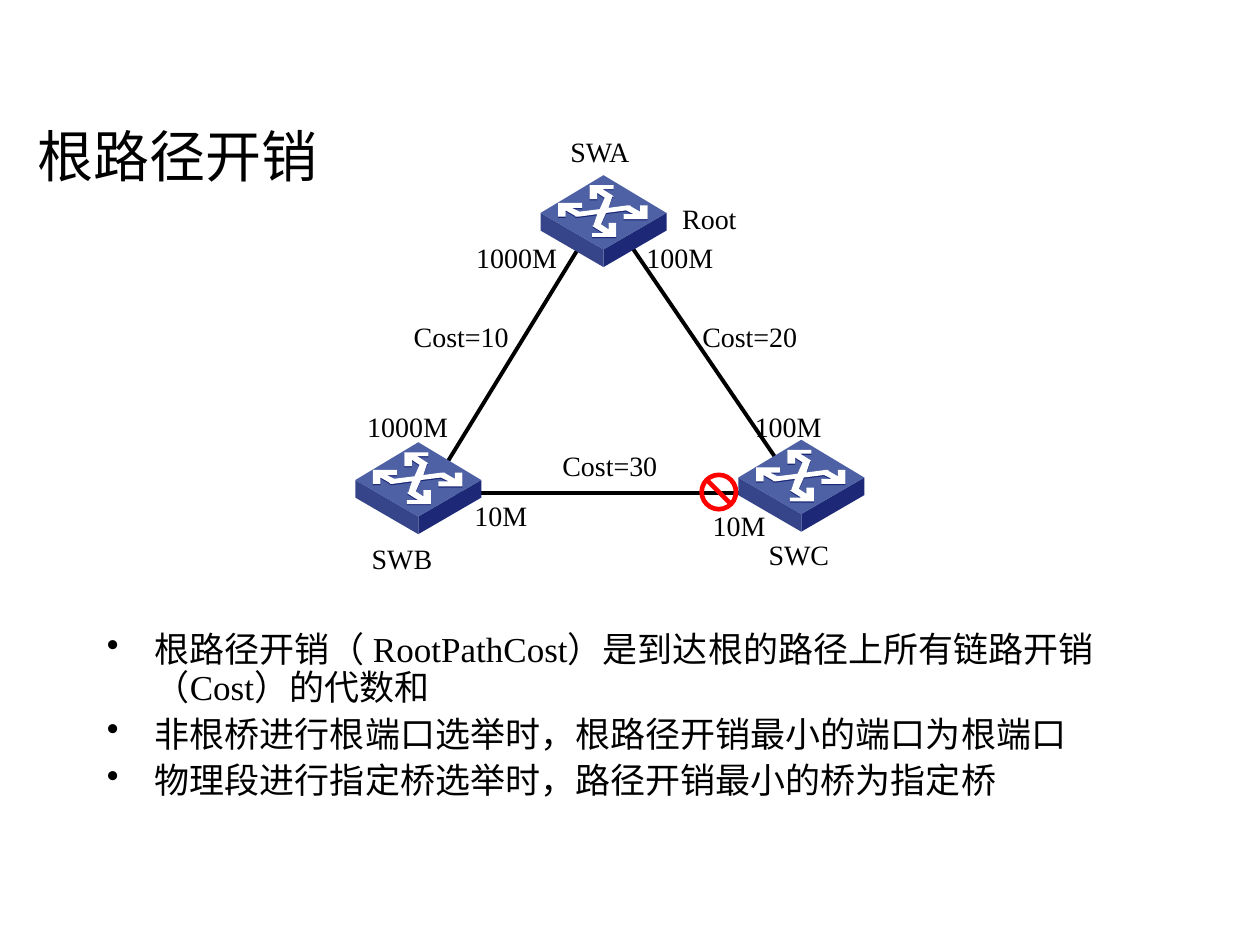
from lxml.etree import SubElement
from pptx import Presentation
from pptx.dml.color import RGBColor
from pptx.enum.shapes import MSO_CONNECTOR, MSO_SHAPE
from pptx.enum.text import MSO_ANCHOR, PP_ALIGN
from pptx.oxml.ns import qn
from pptx.util import Pt

SCALE = 9144
COLORS = {
    "background": "FFFFFF",
    "text": "000000",
    "link": "000000",
    "right_side": "1D2977",
    "left_side": "36458A",
    "top": "4D61A4",
    "arrows": "FFFFFF",
    "blocked": "FF0000",
}

RIGHT_SIDE = [(100, 30), (100, 44), (50, 73), (50, 59)]
LEFT_SIDE = [(50, 59), (50, 73), (0, 44), (0, 30)]
TOP = [(100, 30), (50, 59), (0, 30), (50, 0)]
HALF_ARROWS = [
    (85, 24), (79, 24), (79, 29), (72, 25), (71, 24), (69, 24),
    (54, 26), (57, 17), (58, 17), (57, 16), (49, 11), (58, 11),
    (58, 8), (39, 8), (39, 19), (45, 19), (45, 14), (51, 18),
    (47, 27), (31, 29), (25, 26), (33, 26), (33, 22), (14, 22),
]
ARROWS = HALF_ARROWS + [(99 - x, 57 - y) for x, y in HALF_ARROWS]
ARROWS_SHADE = [(x, y + 1) for x, y in ARROWS]
SWITCH_PARTS = [
    (RIGHT_SIDE, "right_side"),
    (LEFT_SIDE, "left_side"),
    (TOP, "top"),
    (ARROWS_SHADE, "right_side"),
    (ARROWS, "arrows"),
]

LINKS = [(350, 375, 461, 194), (358, 391, 602, 391), (500, 194, 618, 367)]
SWITCHES = [(282, 351), (586, 349), (429, 139)]
LABELS = [
    ("SWA", 405, 102, 142),
    ("SWB", 248, 425, 142),
    ("SWC", 563, 422, 142),
    ("Root", 492, 155, 142),
    ("1000M", 351, 186, 118),
    ("100M", 500, 186, 79),
    ("1000M", 272, 320, 103),
    ("10M", 358, 391, 79),
    ("100M", 586, 320, 79),
    ("10M", 547, 399, 79),
    ("Cost=10", 295, 249, 142),
    ("Cost=20", 524, 249, 142),
    ("Cost=30", 413, 351, 142),
]
POINTS = [
    "根路径开销（ RootPathCost）是到达根的路径上所有链路开销（Cost）的代数和",
    "非根桥进行根端口选举时，根路径开销最小的端口为根端口",
    "物理段进行指定桥选举时，路径开销最小的桥为指定桥",
]


def px(value):
    return value * SCALE


def color(name):
    return RGBColor.from_string(COLORS[name])


class SlideBuilder:
    font_name = "Times New Roman"

    def __init__(self, slide):
        self.slide = slide
        slide.background.fill.solid()
        slide.background.fill.fore_color.rgb = color("background")

    def fill(self, shape, name):
        shape.shadow.inherit = False
        shape.fill.solid()
        shape.fill.fore_color.rgb = color(name)
        shape.line.fill.background()

    def text_frame(self, left, top, width, height, anchor=MSO_ANCHOR.TOP):
        box = self.slide.shapes.add_textbox(px(left), px(top), px(width), px(height))
        box.text_frame.word_wrap = True
        box.text_frame.vertical_anchor = anchor
        return box.text_frame

    def run(self, paragraph, text, size):
        run = paragraph.add_run()
        run.text = text
        run.font.name = self.font_name
        run.font.size = Pt(size)
        run.font.color.rgb = color("text")

    def title(self, text, left, top, width, height):
        frame = self.text_frame(left, top, width, height, MSO_ANCHOR.MIDDLE)
        self.run(frame.paragraphs[0], text, 32)

    def label(self, text, left, top, width):
        paragraph = self.text_frame(left, top, width, 37).paragraphs[0]
        paragraph.alignment = PP_ALIGN.CENTER
        self.run(paragraph, text, 16)

    def bullets(self, items, left, top, width, height):
        frame = self.text_frame(left, top, width, height)
        for index, item in enumerate(items):
            paragraph = frame.add_paragraph() if index else frame.paragraphs[0]
            paragraph.line_spacing = 0.9
            if index:
                paragraph.space_before = Pt(5)
            properties = paragraph._p.get_or_add_pPr()
            properties.set("marL", str(px(38)))
            properties.set("indent", str(px(-38)))
            SubElement(properties, qn("a:buChar")).set("char", "•")
            self.run(paragraph, item, 20)

    def link(self, x1, y1, x2, y2):
        connector = self.slide.shapes.add_connector(
            MSO_CONNECTOR.STRAIGHT, px(x1), px(y1), px(x2), px(y2))
        connector.line.color.rgb = color("link")
        connector.line.width = Pt(2.25)
        SubElement(connector._element.spPr, qn("a:effectLst"))

    def switch(self, left, top):
        group = self.slide.shapes.add_group_shape()
        for outline, name in SWITCH_PARTS:
            vertices = [(left + x, top + y) for x, y in outline]
            builder = group.shapes.build_freeform(*vertices[0], scale=SCALE)
            builder.add_line_segments(vertices[1:], close=True)
            self.fill(builder.convert_to_shape(), name)

    def blocked_port(self, left, top, size):
        shape = self.slide.shapes.add_shape(
            MSO_SHAPE.NO_SYMBOL, px(left), px(top), px(size), px(size))
        shape.adjustments[0] = 0.12
        self.fill(shape, "blocked")


def main():
    presentation = Presentation()
    presentation.slide_width = px(1000)
    presentation.slide_height = px(750)
    builder = SlideBuilder(presentation.slides.add_slide(presentation.slide_layouts[6]))

    builder.title("根路径开销", 20, 99, 764, 48)
    for link in LINKS:
        builder.link(*link)
    for switch in SWITCHES:
        builder.switch(*switch)
    builder.bullets(POINTS, 75, 497, 843, 158)
    builder.blocked_port(555, 375, 31)
    for label in LABELS:
        builder.label(*label)

    presentation.save("out.pptx")


if __name__ == "__main__":
    main()
